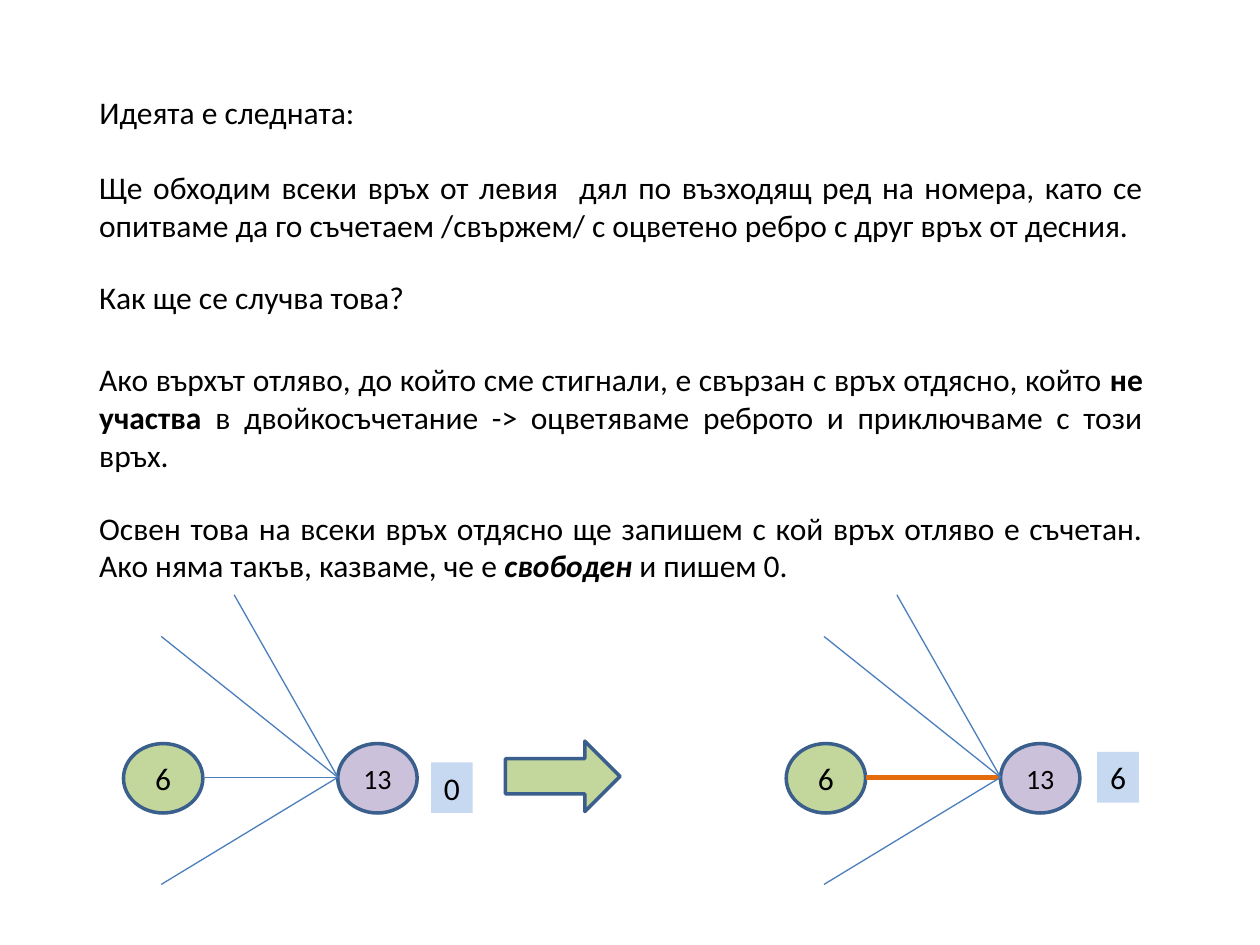
from dataclasses import dataclass
from typing import Any

from lxml.etree import SubElement
from pptx import Presentation
from pptx.dml.color import RGBColor
from pptx.enum.shapes import MSO_CONNECTOR, MSO_SHAPE
from pptx.enum.text import MSO_ANCHOR, MSO_AUTO_SIZE, PP_ALIGN
from pptx.oxml.ns import qn
from pptx.util import Cm, Pt


@dataclass(frozen=True)
class Theme:
    font: str = "Calibri"
    ink: str = "000000"
    left_part: str = "C3D69B"
    right_part: str = "CCC1DA"
    mate: str = "C6D9F1"
    outline: str = "3A5F8C"
    edge: str = "4B7EBC"
    matched_edge: str = "E46C0A"
    body_size: float = 18
    small_size: float = 16
    outline_width: float = 2
    edge_width: float = 0.75
    matched_width: float = 3


@dataclass(frozen=True)
class Run:
    text: str
    bold: bool = False
    italic: bool = False


@dataclass(frozen=True)
class Passage:
    top: float
    height: float
    runs: tuple[Run, ...]
    align: PP_ALIGN = PP_ALIGN.JUSTIFY


@dataclass(frozen=True)
class Box:
    left: float
    top: float
    width: float
    height: float


@dataclass(frozen=True)
class Matching:
    shift: float
    mate: str
    mate_left: float
    mate_top: float
    edge_color: str
    edge_width: float


THEME = Theme()
COLUMN_LEFT, COLUMN_WIDTH = 1.75, 21.54
VERTEX_TOP, VERTEX_WIDTH, VERTEX_HEIGHT = 14.99, 1.6, 1.4
LEFT_VERTEX, RIGHT_VERTEX, EDGE_Y = 2.49, 6.81, 15.67
OTHER_EDGES = ((3.25, 12.83), (3.25, 17.83), (4.72, 11.99))

HEADING = Passage(1.75, 1.02, (Run("Идеята е следната:"),), PP_ALIGN.LEFT)
PASSAGES = (
    Passage(3.27, 1.8, (
        Run("Ще обходим всеки връх от левия  дял по възходящ ред на номера, "
            "като се опитваме да го съчетаем /свържем/ с оцветено ребро "
            "с друг връх от десния."),)),
    Passage(5.49, 1.02, (Run("Как ще се случва това?"),), PP_ALIGN.LEFT),
    Passage(7.14, 2.56, (
        Run("Ако върхът отляво, до който сме стигнали, е свързан с връх отдясно, който "),
        Run("не участва", bold=True),
        Run(" в двойкосъчетание -> оцветяваме реброто и приключваме с този връх."))),
    Passage(10.13, 1.8, (
        Run("Освен това на всеки връх отдясно ще запишем с кой връх отляво "
            "е съчетан. Ако няма такъв, казваме, че е "),
        Run("свободен", bold=True, italic=True),
        Run(" и пишем 0."))),
)
MATCHINGS = (
    Matching(0, "0", 8.69, 15.37, THEME.edge, THEME.edge_width),
    Matching(13.36, "6", 8.76, 15.16, THEME.matched_edge, THEME.matched_width),
)


def apply(target: Any, values: dict[str, Any]) -> None:
    for key, value in values.items():
        setattr(target, key, value)


def write(frame: Any, runs: tuple[Run, ...], align: PP_ALIGN,
          size: float = THEME.body_size) -> None:
    paragraph = frame.paragraphs[0]
    paragraph.alignment = align
    for piece in runs:
        run = paragraph.add_run()
        run.text = piece.text
        apply(run.font, {"name": THEME.font, "size": Pt(size),
                         "bold": piece.bold, "italic": piece.italic})
        run.font.color.rgb = RGBColor.from_string(THEME.ink)


def fill_passage(holder: Any, passage: Passage) -> None:
    apply(holder, {"left": Cm(COLUMN_LEFT), "top": Cm(passage.top),
                   "width": Cm(COLUMN_WIDTH), "height": Cm(passage.height)})
    apply(holder.text_frame, {"word_wrap": True, "auto_size": MSO_AUTO_SIZE.NONE,
                              "vertical_anchor": MSO_ANCHOR.TOP})
    write(holder.text_frame, passage.runs, passage.align)


def add_figure(shapes: Any, kind: MSO_SHAPE, box: Box, fill: str, outlined: bool = True,
               label: str = "", size: float = THEME.body_size) -> None:
    figure = shapes.add_shape(kind, Cm(box.left), Cm(box.top), Cm(box.width), Cm(box.height))
    figure.shadow.inherit = False
    figure.fill.solid()
    figure.fill.fore_color.rgb = RGBColor.from_string(fill)
    if outlined:
        figure.line.color.rgb = RGBColor.from_string(THEME.outline)
        figure.line.width = Pt(THEME.outline_width)
    else:
        figure.line.fill.background()
    if label:
        apply(figure.text_frame, {"margin_left": 0, "margin_right": 0, "word_wrap": False,
                                  "vertical_anchor": MSO_ANCHOR.MIDDLE})
        write(figure.text_frame, (Run(label),), PP_ALIGN.CENTER, size)


def add_edge(shapes: Any, start: tuple[float, float], end: tuple[float, float],
             color: str = THEME.edge, width: float = THEME.edge_width) -> None:
    edge = shapes.add_connector(MSO_CONNECTOR.STRAIGHT, *map(Cm, start + end))
    edge.line.color.rgb = RGBColor.from_string(color)
    edge.line.width = Pt(width)
    SubElement(edge._element.spPr, qn("a:effectLst"))


def add_matching(shapes: Any, matching: Matching) -> None:
    graph = shapes.add_group_shape().shapes
    left, right = LEFT_VERTEX + matching.shift, RIGHT_VERTEX + matching.shift
    hub = (right, EDGE_Y)
    add_figure(graph, MSO_SHAPE.OVAL, Box(left, VERTEX_TOP, VERTEX_WIDTH, VERTEX_HEIGHT),
               THEME.left_part, label="6")
    add_edge(graph, (left + VERTEX_WIDTH, EDGE_Y), hub,
             matching.edge_color, matching.edge_width)
    add_figure(graph, MSO_SHAPE.OVAL, Box(right, VERTEX_TOP, VERTEX_WIDTH, VERTEX_HEIGHT),
               THEME.right_part, label="13", size=THEME.small_size)
    for x, y in OTHER_EDGES:
        add_edge(graph, (x + matching.shift, y), hub)
    add_figure(graph, MSO_SHAPE.RECTANGLE,
               Box(matching.mate_left + matching.shift, matching.mate_top, 0.84, 1.02),
               THEME.mate, outlined=False, label=matching.mate)


presentation = Presentation()
apply(presentation, {"slide_width": Cm(25.4), "slide_height": Cm(19.05)})
slide = presentation.slides.add_slide(presentation.slide_layouts[5])
fill_passage(slide.shapes.title, HEADING)
for passage in PASSAGES:
    fill_passage(slide.shapes.add_textbox(0, 0, 0, 0), passage)
add_figure(slide.shapes, MSO_SHAPE.RIGHT_ARROW, Box(10.19, 14.94, 2.31, 1.42), THEME.left_part)
for matching in MATCHINGS:
    add_matching(slide.shapes, matching)
presentation.save("out.pptx")
